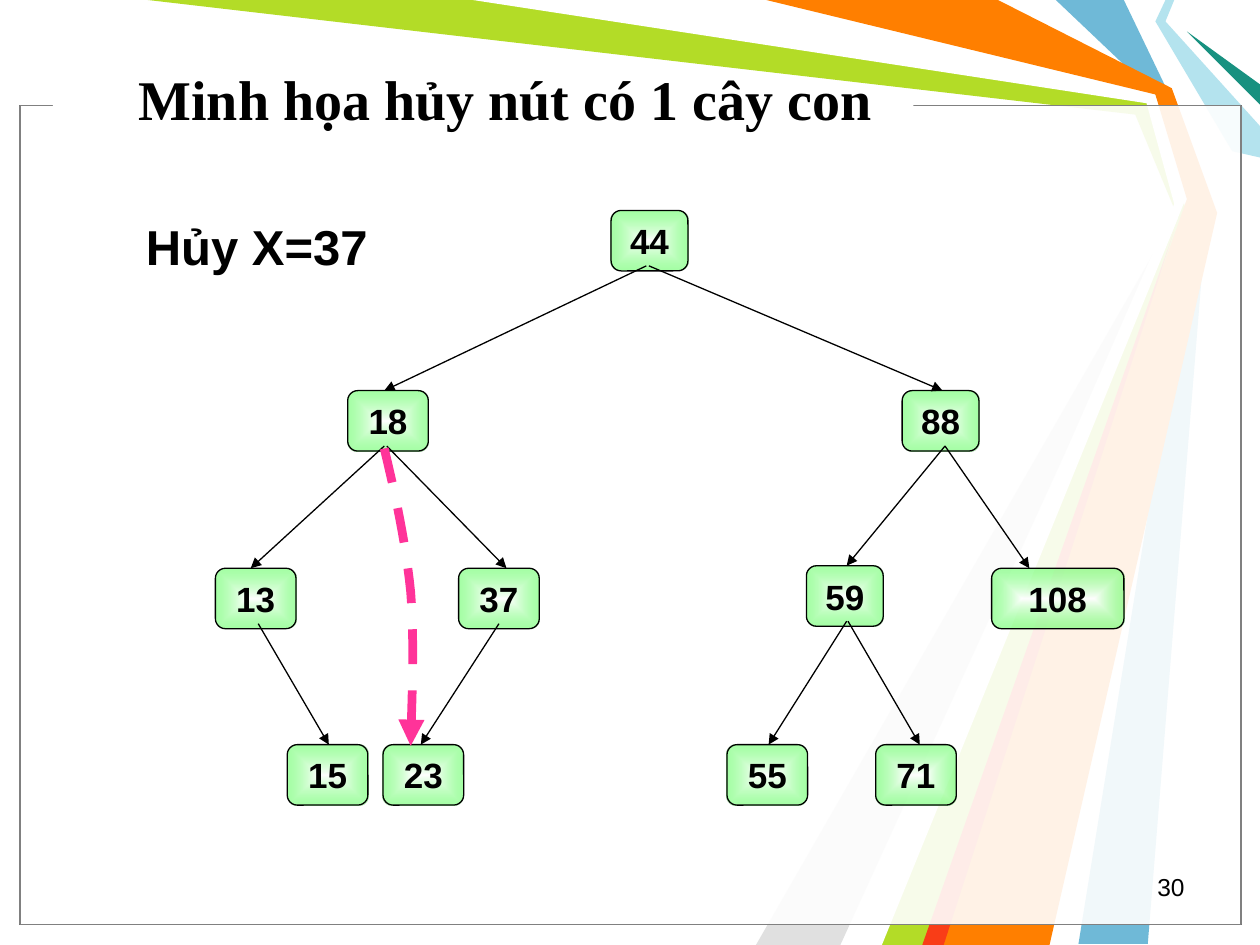
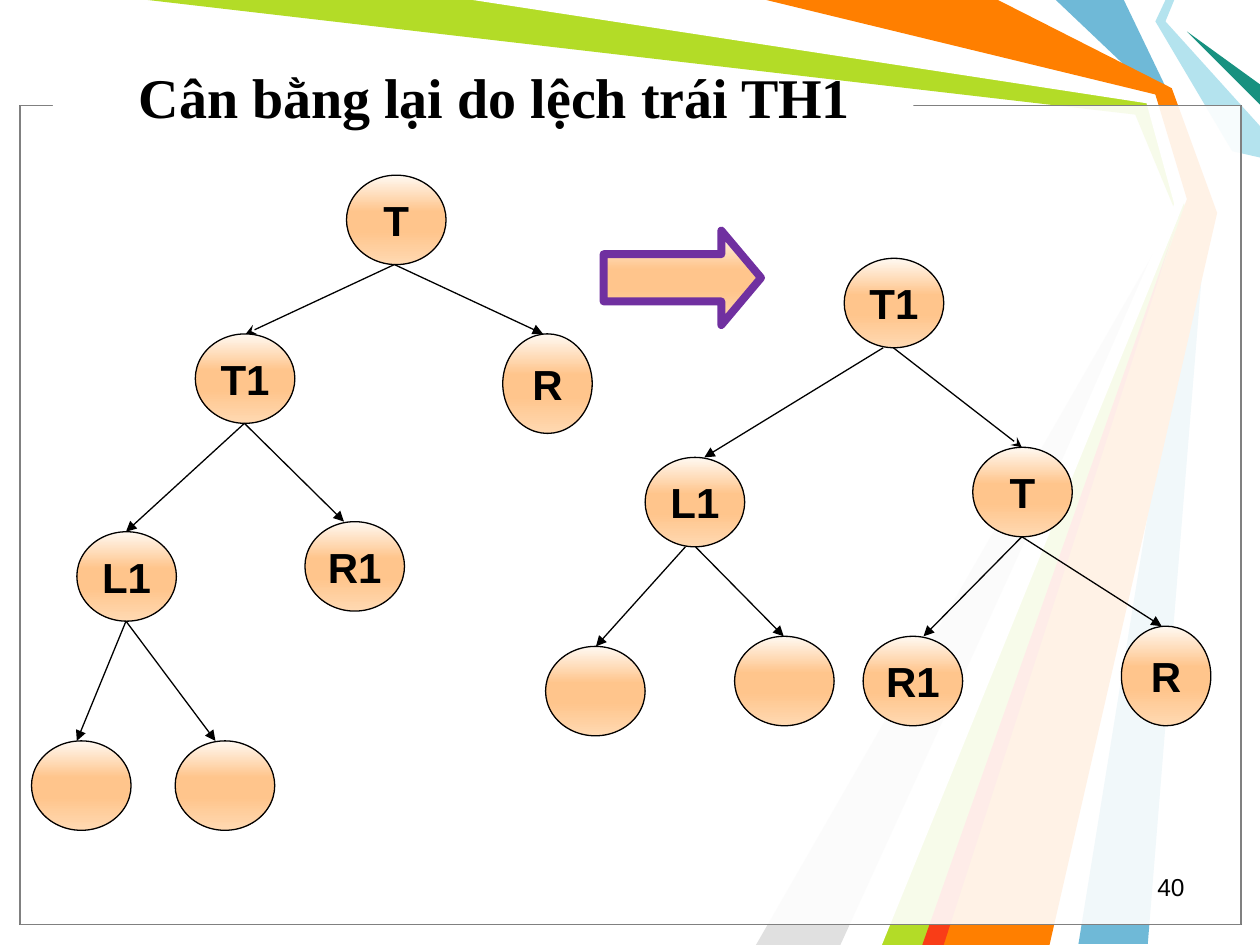
from dataclasses import dataclass

from lxml.etree import SubElement
from pptx import Presentation
from pptx.dml.color import RGBColor
from pptx.enum.dml import MSO_LINE
from pptx.enum.shapes import MSO_CONNECTOR, MSO_SHAPE
from pptx.enum.text import MSO_ANCHOR, PP_ALIGN
from pptx.oxml import parse_xml
from pptx.oxml.ns import nsdecls, qn
from pptx.util import Inches, Pt


@dataclass(frozen=True)
class Theme:
    title_font: str = "Times New Roman"
    body_font: str = "Arial"
    title_size: int = 32
    label_size: int = 28
    circle_size: int = 24
    box_size: int = 20
    number_size: int = 14
    thin: float = 0.75
    ink: str = "000000"
    white: str = "FFFFFF"
    frame: str = "808080"
    pink: str = "FF3399"
    purple: str = "7030A0"
    # Gradient stops: position %, colour, opacity %
    green: tuple = ((0, "FFFFFF", 100), (100, "69FF69", 60))
    orange: tuple = ((0, "FFF9F2", 100), (41, "FFC58C", 100),
                     (63, "FFC58C", 100), (100, "FFD9B2", 100))


THEME = Theme()
GREEN_PATH = ('<a:path path="shape"><a:fillToRect l="50000" t="50000" '
              'r="50000" b="50000"/></a:path>')
ORANGE_PATH = '<a:lin ang="5400000" scaled="1"/>'

# Ribbons of the background, back to front: colour, outline
RIBBONS = [
    ("6FB9D7", [(8.92, 0), (9.29, 0.77), (9.58, 1.67), (9.11, 7.49),
                (8.56, 7.49), (9.5, 1.67), (9.17, 0.75), (8.38, 0)]),
    ("B3DC27", [(1.17, 0), (3.83, 0), (9.14, 0.78), (9.42, 1.69),
                (7.42, 7.5), (6.92, 7.5), (9.35, 1.73), (9.01, 0.91)]),
    ("E0E0E0", [(6.67, 7.5), (9.27, 1.81), (6, 7.5)]),
    ("FFFFFF", [(3.75, 0), (9.1, 0.82), (9.32, 1.62), (6.75, 7.5), (7, 7.5),
                (9.41, 1.58), (9.17, 0.75), (6, 0)]),
    ("B4E3EE", [(9.25, 0), (9.17, 0.17), (9.78, 1.2), (10, 1.25), (10, 1),
                (9.25, 0.17), (9.32, 0)]),
    ("189180", [(10, 0.83), (9.42, 0.25), (10, 0.67)]),
    ("FF7F00", [(6.08, 0), (7.92, 0), (9.3, 0.7), (9.66, 1.69), (8.33, 7.5),
                (7.33, 7.5), (9.42, 1.58), (9.17, 0.75)]),
    ("F93D17", [(7.32, 7.5), (9.32, 1.83), (7.49, 7.5)]),
]

# Trees: node -> left, top, width, height; edges: parent, child, x from, x to
BOX = (0.64, 0.48)
NARROW_BOX = (0.61, 0.48)
CIRCLE = (0.79, 0.71)
TALL_CIRCLE = (0.71, 0.79)
BLANKS = ("left leaf", "right leaf")

NUMBER_NODES = {
    "44": (4.85, 1.67, *NARROW_BOX),
    "18": (2.76, 3.1, *BOX), "88": (7.16, 3.1, *NARROW_BOX),
    "13": (1.71, 4.51, *BOX), "37": (3.64, 4.51, *BOX),
    "59": (6.4, 4.49, *NARROW_BOX), "108": (7.87, 4.51, 1.05, 0.48),
    "15": (2.28, 5.91, *BOX), "23": (3.04, 5.91, *BOX),
    "55": (5.77, 5.91, *BOX), "71": (6.95, 5.91, *BOX),
}
NUMBER_EDGES = [
    ("44", "18", 5.13, 3.05), ("44", "88", 5.15, 7.48),
    ("18", "13", 3.05, 1.99), ("18", "37", 3.07, 4.02),
    ("88", "59", 7.5, 6.72), ("88", "108", 7.5, 8.17),
    ("13", "15", 2.05, 2.61), ("37", "23", 3.96, 3.34),
    ("59", "55", 6.72, 6.1), ("59", "71", 6.73, 7.3),
]
BEFORE_NODES = {
    "T": (2.75, 1.39, *CIRCLE), "R": (3.99, 2.65, *TALL_CIRCLE),
    "T1": (1.55, 2.65, *CIRCLE), "R1": (2.42, 4.14, *CIRCLE),
    "L1": (0.61, 4.22, *CIRCLE),
    "left leaf": (0.25, 5.88, *CIRCLE), "right leaf": (1.39, 5.88, *CIRCLE),
}
BEFORE_EDGES = [
    ("T", "T1", 3.13, 1.95, "stealth"), ("T", "R", 3.13, 4.31),
    ("T1", "R1", 1.94, 2.73), ("T1", "L1", 1.94, 1),
    ("L1", "left leaf", 1, 0.61), ("L1", "right leaf", 1, 1.71),
]
AFTER_NODES = {
    "T": (7.72, 3.55, *CIRCLE), "R": (8.9, 4.97, *TALL_CIRCLE),
    "T1": (6.7, 2.05, *CIRCLE), "R1": (6.85, 5.05, *CIRCLE),
    "L1": (5.12, 3.63, *CIRCLE),
    "left leaf": (4.33, 5.13, *CIRCLE), "right leaf": (5.83, 5.05, *CIRCLE),
}
AFTER_EDGES = [
    ("T1", "T", 7.09, 8.11, "stealth"), ("T1", "L1", 7.01, 5.59),
    ("T", "R", 8.11, 9.22), ("T", "R1", 8.11, 7.33),
    ("L1", "left leaf", 5.44, 4.73), ("L1", "right leaf", 5.52, 6.22),
]


def inches(values):
    return [Inches(v) for v in values]


def rgb(color):
    return RGBColor.from_string(color)


def set_line(sp, color, width):
    sp.line.color.rgb = rgb(color)
    sp.line.width = Pt(width)


def set_opacity(sp, percent):
    clr = sp.element.spPr.find(qn("a:solidFill")).find(qn("a:srgbClr"))
    SubElement(clr, qn("a:alpha"), val=str(percent * 1000))


def set_gradient(sp, stops, path):
    gs = "".join(
        f'<a:gs pos="{pos * 1000}"><a:srgbClr val="{color}">'
        f'<a:alpha val="{opacity * 1000}"/></a:srgbClr></a:gs>'
        for pos, color, opacity in stops)
    grad = parse_xml(f'<a:gradFill {nsdecls("a")} rotWithShape="1">'
                     f'<a:gsLst>{gs}</a:gsLst>{path}</a:gradFill>')
    sp.element.spPr.find(qn("a:prstGeom")).addnext(grad)


def add_arrowhead(sp, kind):
    SubElement(sp.element.spPr.find(qn("a:ln")), qn("a:tailEnd"), type=kind)


def write(sp, text, size, align=PP_ALIGN.LEFT, font=THEME.body_font,
          bold=True, wrap=True):
    tf = sp.text_frame
    tf.word_wrap = wrap
    tf.vertical_anchor = MSO_ANCHOR.MIDDLE
    p = tf.paragraphs[0]
    p.text = text
    p.alignment = align
    p.font.name, p.font.size, p.font.bold = font, Pt(size), bold
    p.font.color.rgb = rgb(THEME.ink)


def add_outline(slide, points, close):
    (x, y), *rest = [inches(point) for point in points]
    builder = slide.shapes.build_freeform(x, y)
    builder.add_line_segments(rest, close=close)
    sp = builder.convert_to_shape()
    sp.shadow.inherit = False
    return sp


def add_rect(slide, box, line=None):
    sp = slide.shapes.add_shape(MSO_SHAPE.RECTANGLE, *inches(box))
    sp.shadow.inherit = False
    sp.fill.solid()
    sp.fill.fore_color.rgb = rgb(THEME.white)
    if line:
        set_line(sp, line, THEME.thin)
    else:
        sp.line.fill.background()
    return sp


def add_background(slide, layout):
    """Draw the shared background and hand it over to the layout."""
    parts = []
    for color, points in RIBBONS:
        sp = add_outline(slide, points, close=True)
        sp.fill.solid()
        sp.fill.fore_color.rgb = rgb(color)
        sp.line.fill.background()
        parts.append(sp)
    # Translucent frame, and the gap in its top edge behind the title
    for line in (THEME.ink, THEME.frame):
        sp = add_rect(slide, (0.16, 0.84, 9.69, 6.5), line)
        set_opacity(sp, 69)
        parts.append(sp)
    parts.append(add_rect(slide, (0.42, 0.74, 6.83, 0.17)))
    for sp in parts:
        layout.shapes.element.append(sp.element)


def add_text(slide, box, text, size, **style):
    write(slide.shapes.add_textbox(*inches(box)), text, size, **style)


def add_heading(slide, title, top, height, number):
    sp = slide.shapes.title
    sp.left, sp.top, sp.width, sp.height = inches((1, top, 6.89, height))
    write(sp, title, THEME.title_size, font=THEME.title_font)
    add_text(slide, (7.17, 6.87, 2.33, 0.33), str(number), THEME.number_size,
             align=PP_ALIGN.RIGHT, bold=False)


def add_gradient_shape(slide, kind, box, stops, path, line, width):
    sp = slide.shapes.add_shape(kind, *inches(box))
    set_gradient(sp, stops, path)
    set_line(sp, line, width)
    sp.shadow.inherit = False
    return sp


def add_box(slide, label, box):
    sp = add_gradient_shape(slide, MSO_SHAPE.ROUNDED_RECTANGLE, box,
                            THEME.green, GREEN_PATH, THEME.ink, THEME.thin)
    write(sp, label, THEME.box_size, align=PP_ALIGN.CENTER)


def add_circle(slide, label, box):
    sp = add_gradient_shape(slide, MSO_SHAPE.OVAL, box,
                            THEME.orange, ORANGE_PATH, THEME.ink, THEME.thin)
    if label not in BLANKS:
        write(sp, label, THEME.circle_size, align=PP_ALIGN.CENTER, wrap=False)


def add_edge(slide, start, end, head):
    c = slide.shapes.add_connector(MSO_CONNECTOR.STRAIGHT,
                                   *inches((*start, *end)))
    set_line(c, THEME.ink, THEME.thin)
    add_arrowhead(c, head)
    SubElement(c.element.spPr, qn("a:effectLst"))


def add_tree(slide, nodes, edges, add_node, overlap=0.0):
    """Draw nodes, then edges that start `overlap` above a parent's bottom."""
    for label, box in nodes.items():
        add_node(slide, label, box)
    for parent, child, x1, x2, *head in edges:
        _, top, _, height = nodes[parent]
        add_edge(slide, (x1, top + height - overlap), (x2, nodes[child][1]),
                 head[0] if head else "triangle")


def bezier(p0, p1, p2, p3, steps=12):
    for i in range(steps + 1):
        t = i / steps
        u = 1 - t
        yield tuple(u**3 * a + 3 * u * u * t * b + 3 * u * t * t * c + t**3 * d
                    for a, b, c, d in zip(p0, p1, p2, p3))


def add_relink_arrow(slide):
    upper = bezier((3.05, 3.56), (3.14, 3.93), (3.22, 4.31), (3.26, 4.7))
    lower = bezier((3.26, 4.7), (3.29, 5.1), (3.27, 5.51), (3.26, 5.92))
    sp = add_outline(slide, [*upper, *list(lower)[1:]], close=False)
    sp.fill.background()
    set_line(sp, THEME.pink, 5)
    sp.line.dash_style = MSO_LINE.DASH
    add_arrowhead(sp, "triangle")


def build_deletion(slide):
    add_heading(slide, "Minh họa hủy nút có 1 cây con", 0.39, 0.78, 30)
    add_tree(slide, NUMBER_NODES, NUMBER_EDGES, add_box, overlap=0.04)
    add_relink_arrow(slide)
    add_text(slide, (1.06, 1.67, 2.36, 0.57), "Hủy X=37", THEME.label_size)


def build_rebalancing(slide):
    add_heading(slide, "Cân bằng lại do lệch trái TH1", 0.5, 0.53, 40)
    add_tree(slide, BEFORE_NODES, BEFORE_EDGES, add_circle)
    add_tree(slide, AFTER_NODES, AFTER_EDGES, add_circle)
    arrow = add_gradient_shape(slide, MSO_SHAPE.RIGHT_ARROW,
                               (4.79, 1.83, 1.25, 0.75), THEME.orange,
                               ORANGE_PATH, THEME.purple, 4.5)
    arrow.adjustments[1] = 0.42


def main():
    prs = Presentation()
    prs.slide_width, prs.slide_height = Inches(10), Inches(7.5)
    layout = prs.slide_layouts.get_by_name("Title Only")
    deletion, rebalancing = [prs.slides.add_slide(layout) for _ in range(2)]
    add_background(deletion, layout)
    build_deletion(deletion)
    build_rebalancing(rebalancing)
    prs.save("out.pptx")


if __name__ == "__main__":
    main()
